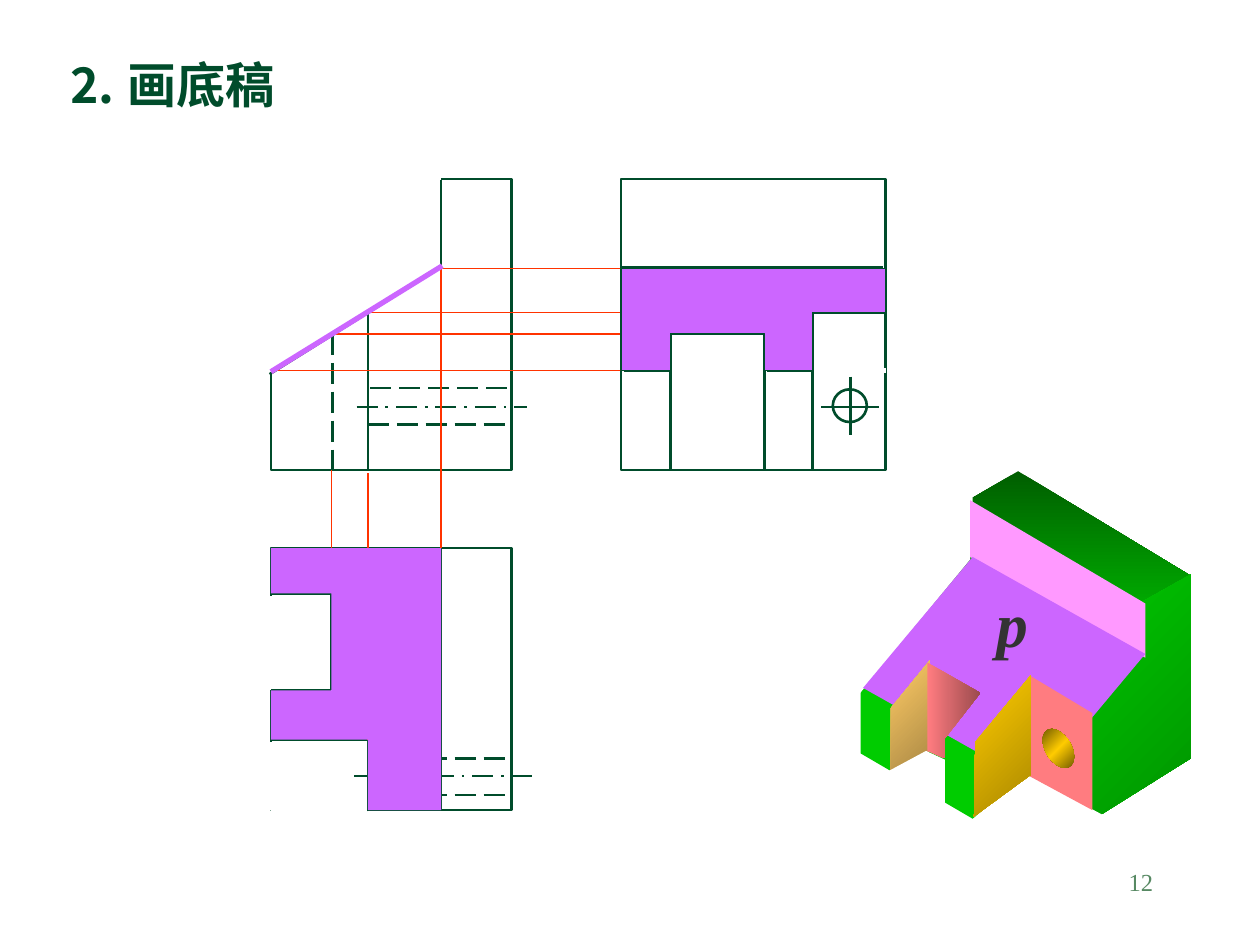
import copy
import math
from typing import NamedTuple, Optional

import pptx
import pptx.dml.color
import pptx.enum.dml
import pptx.enum.shapes
import pptx.enum.text
import pptx.oxml.ns
import pptx.oxml.xmlchemy
import pptx.util
from pptx.util import Inches

COLOURS = {
    "outline": "004C2B", "projection": "FF3300", "white": "FFFFFF", "plane": "CC66FF",
    "number": "578963", "letter": "333333", "green": "00CC00", "pink": "FF99FF",
    "salmon": "FF7C80", "top dark": "005E00", "side dark": "009000", "gold": "FFCC00",
    "gold dark": "AA8800", "hole dark": "765E00", "sand": "FFCC66",
    "sand dark": "AA8844", "salmon dark": "9B4B4E",
}
DASH = pptx.enum.dml.MSO_LINE_DASH_STYLE
SHAPE = pptx.enum.shapes.MSO_SHAPE
ALIGN = pptx.enum.text.PP_ALIGN


class Pen(NamedTuple):
    colour: str
    width: float
    dash: Optional[DASH] = None


class Strokes(NamedTuple):
    pen: Pen
    ends: list  # x1, y1, x2, y2 of each line


class Face(NamedTuple):
    points: list
    colours: list
    angle: int = 0
    pen: Optional[Pen] = None


class Label(NamedTuple):
    text: str
    box: tuple
    colour: str
    font: dict
    frame: dict


OUTLINE = Pen("outline", 1.5)
HIDDEN = Pen("outline", 1.5, DASH.LONG_DASH)
CENTRE = Pen("outline", 1.5, DASH.LONG_DASH_DOT)
PROJECTION = Pen("projection", 1)
ERASER = Pen("white", 3)

# Shared edges: front and plan across, side view across, heights, plan depths
LEFT, SLOT, STEP, RIDGE, RIGHT = 2.15, 2.63, 2.92, 3.5, 4.06
SIDE_LEFT, SIDE_SLOT_1, SIDE_SLOT_2, SIDE_STEP, SIDE_RIGHT = 4.93, 5.32, 6.07, 6.45, 7.03
TOP, SLOPE_TOP, STEP_TOP, SLOT_TOP, SLOPE_END, BASE = 1.42, 2.13, 2.48, 2.65, 2.94, 3.73
PLAN_TOP, PLAN_SLOT_1, PLAN_SLOT_2, PLAN_STEP, PLAN_BASE = 4.35, 4.71, 5.48, 5.87, 6.43

VIEW_FRAMES = [(SIDE_LEFT, TOP, 2.1, 2.31), (LEFT, TOP, 1.91, 2.31), (LEFT, PLAN_TOP, 1.91, 2.08)]

DETAIL_LINES = [
    Strokes(OUTLINE, [
        (6.75, 2.99, 6.75, 3.45), (6.52, 3.23, 6.98, 3.23),
        (STEP, PLAN_STEP, LEFT, PLAN_STEP), (SLOT, PLAN_SLOT_2, SLOT, PLAN_SLOT_1),
        (RIDGE, PLAN_BASE, RIDGE, PLAN_TOP), (SIDE_LEFT, 2.12, 7.01, 2.12),
        (SIDE_SLOT_1, SLOT_TOP, SIDE_SLOT_2, SLOT_TOP),
        (SIDE_STEP, STEP_TOP, SIDE_RIGHT, STEP_TOP), (STEP, STEP_TOP, STEP, BASE)]),
    Strokes(CENTRE, [(2.81, 6.16, 4.22, 6.16), (2.83, 3.23, 4.18, 3.23)]),
    Strokes(HIDDEN, [
        (STEP, 6.02, RIGHT, 6.02), (STEP, 6.31, RIGHT, 6.31), (2.64, SLOT_TOP, 2.64, BASE),
        (2.94, 3.08, RIGHT, 3.08), (STEP, 3.37, RIGHT, 3.37)]),
]
CONSTRUCTION_LINES = [
    Strokes(ERASER, [
        (LEFT, 1.32, LEFT, 2.96), (2.02, 1.41, RIDGE, 1.41), (LEFT, PLAN_SLOT_2, LEFT, 4.73),
        (LEFT, 5.89, LEFT, PLAN_BASE), (LEFT, PLAN_BASE, STEP, PLAN_BASE)]),
    Strokes(OUTLINE, [
        (RIDGE, 1.43, RIDGE, 2.12), (RIDGE, 2.12, 2.14, 2.97),
        (4.95, SLOPE_END, SIDE_RIGHT, SLOPE_END), (LEFT, PLAN_SLOT_2, SLOT, PLAN_SLOT_2),
        (SLOT, PLAN_SLOT_1, LEFT, PLAN_SLOT_1), (STEP, 6.44, STEP, 5.86)]),
    Strokes(PROJECTION, [
        (RIDGE, SLOPE_TOP, 4.99, SLOPE_TOP), (LEFT, SLOPE_END, SIDE_LEFT, SLOPE_END),
        (RIDGE, SLOPE_TOP, RIDGE, PLAN_TOP), (SLOT, PLAN_SLOT_1, SLOT, BASE),
        (SLOT, SLOT_TOP, SIDE_SLOT_1, SLOT_TOP), (STEP, PLAN_STEP, STEP, 3.75),
        (STEP, STEP_TOP, SIDE_STEP, STEP_TOP)]),
    Strokes(ERASER, [(SIDE_SLOT_1, SLOPE_END, 6.09, SLOPE_END),
                     (SIDE_STEP, SLOPE_END, SIDE_RIGHT, SLOPE_END)]),
    Strokes(OUTLINE, [(x, top, x, BASE) for x, top in (
        (SIDE_SLOT_1, SLOT_TOP), (SIDE_SLOT_2, SLOT_TOP), (SIDE_STEP, STEP_TOP))]),
]
SLOPE_LINE = Strokes(Pen("plane", 3), [(LEFT, 2.95, 3.51, 2.11)])

HOLE = [(8.4 + 0.125 * math.cos(angle), 5.94 + 0.155 * math.sin(angle + 0.44))
        for angle in (math.tau * step / 32 for step in range(32))]
SOLID_FACES = [
    Face([(8.08, 3.74), (6.83, 4.47), (8.22, 5.27), (9.45, 4.57)], ["top dark", "green"], 90),
    Face([(9.45, 4.56), (9.45, 6.02), (8.22, 6.79), (8.22, 5.25)], ["green", "side dark"], 45),
    Face([(6.83, 4.46), (6.83, 5.98), (8.22, 6.79), (8.22, 5.27)], ["green"]),
    Face([(7.72, 3.94), (7.7, 4.44), (6.81, 5.52), (6.64, 4.32), (6.69, 4.09)], ["white"]),
    Face([(7.7, 3.97), (7.7, 4.42), (9.09, 5.22), (9.09, 4.79)], ["pink"]),
    Face([(7.72, 4.42), (9.09, 5.19), (8.22, 6.23), (6.85, 5.46)], ["plane"]),
    Face([(8.14, 6.14), (8.85, 6.52), (8.1, 6.87), (7.65, 6.56)], ["white"]),
    Face([(8.17, 5.36), (8.67, 5.66), (8.67, 6.43), (8.17, 6.16)], ["salmon"]),
    Face([(7.74, 5.89), (7.73, 6.48), (8.18, 6.15), (8.18, 5.36)], ["gold", "gold dark"], 45),
    Face(HOLE, ["hole dark", "gold", "hole dark"], 45),
    Face([(7.07, 5.62), (7.38, 5.24), (7.38, 5.96), (7.07, 6.14)], ["sand", "sand dark"], 45),
    Face([(7.35, 5.96), (6.96, 6.17), (7.5, 6.43), (7.5, 6.03)], ["white"]),
    Face([(7.36, 5.26), (7.78, 5.5), (7.5, 5.86), (7.5, 6.02), (7.36, 5.96)],
         ["salmon", "salmon dark"]),
]
PLAN_PLANE = Face([
    (LEFT, PLAN_TOP), (RIDGE, PLAN_TOP), (RIDGE, PLAN_BASE), (STEP, PLAN_BASE),
    (STEP, PLAN_STEP), (LEFT, PLAN_STEP), (LEFT, PLAN_SLOT_2), (SLOT, PLAN_SLOT_2),
    (SLOT, PLAN_SLOT_1), (LEFT, PLAN_SLOT_1)], ["plane"])
SIDE_PLANE = Face([
    (SIDE_LEFT, SLOPE_TOP), (SIDE_RIGHT, SLOPE_TOP), (SIDE_RIGHT, STEP_TOP),
    (SIDE_STEP, STEP_TOP), (SIDE_STEP, SLOPE_END), (SIDE_SLOT_2, SLOPE_END),
    (SIDE_SLOT_2, SLOT_TOP), (SIDE_SLOT_1, SLOT_TOP), (SIDE_SLOT_1, SLOPE_END),
    (SIDE_LEFT, SLOPE_END)], ["plane"], pen=Pen("outline", 0.75))

TITLE = Label("⒉ 画底稿", (0.44, 0.29, 8.5, 0.63), "outline",
              {"name": "Noto Sans CJK SC", "size": pptx.util.Pt(28), "bold": True},
              {"vertical_anchor": pptx.enum.text.MSO_ANCHOR.BOTTOM, "margin_bottom": Inches(0.02)})
PAGE_NUMBER = Label("12", (7.17, 6.83, 2.08, 0.5), "number",
                    {"name": "Times New Roman", "size": pptx.util.Pt(14)}, {})
PLANE_LETTER = Label(
    "p", (7.81, 4.59, 0.45, 0.7), "letter",
    {"name": "Times New Roman", "size": pptx.util.Pt(36), "bold": True, "italic": True}, {})


def rgb(name: str) -> pptx.dml.color.RGBColor:
    return pptx.dml.color.RGBColor.from_string(COLOURS[name])


def apply_pen(line_format, pen: Pen) -> None:
    line_format.color.rgb = rgb(pen.colour)
    line_format.width = pptx.util.Pt(pen.width)
    if pen.dash:
        line_format.dash_style = pen.dash


def draw_strokes(slide, strokes: Strokes) -> None:
    for ends in strokes.ends:
        connector = slide.shapes.add_connector(
            pptx.enum.shapes.MSO_CONNECTOR.STRAIGHT, *map(Inches, ends))
        apply_pen(connector.line, strokes.pen)
        connector._element.spPr.append(pptx.oxml.xmlchemy.OxmlElement("a:effectLst"))


def draw_outline(slide, kind: SHAPE, box: tuple) -> None:
    shape = slide.shapes.add_shape(kind, *map(Inches, box))
    shape.shadow.inherit = False
    shape.fill.background()
    apply_pen(shape.line, OUTLINE)


def fill_gradient(shape, colours: list, angle: int) -> None:
    shape.fill.gradient()
    shape.fill.gradient_angle = -angle % 360
    stop_list = shape._element.spPr.find(".//" + pptx.oxml.ns.qn("a:gsLst"))
    for _ in colours[2:]:
        stop_list.append(copy.deepcopy(stop_list[-1]))
    for index, (stop, colour) in enumerate(zip(shape.fill.gradient_stops, colours)):
        stop.color.rgb = rgb(colour)
        stop_list[index].set("pos", str(100000 * index // (len(colours) - 1)))


def draw_face(slide, face: Face) -> None:
    points = [(Inches(x), Inches(y)) for x, y in face.points]
    builder = slide.shapes.build_freeform(*points[0])
    builder.add_line_segments(points[1:], close=True)
    shape = builder.convert_to_shape()
    shape.shadow.inherit = False
    if len(face.colours) > 1:
        fill_gradient(shape, face.colours, face.angle)
    else:
        shape.fill.solid()
        shape.fill.fore_color.rgb = rgb(face.colours[0])
    if face.pen:
        apply_pen(shape.line, face.pen)
    else:
        shape.line.fill.background()


def draw_label(slide, label: Label, align: ALIGN = ALIGN.LEFT) -> None:
    frame = slide.shapes.add_textbox(*map(Inches, label.box)).text_frame
    paragraph = frame.paragraphs[0]
    paragraph.alignment = align
    run = paragraph.add_run()
    run.text = label.text
    for target, values in ((frame, {"word_wrap": True, **label.frame}), (run.font, label.font)):
        for name, value in values.items():
            setattr(target, name, value)
    run.font.color.rgb = rgb(label.colour)
    east_asian = pptx.oxml.xmlchemy.OxmlElement("a:ea")
    east_asian.set("typeface", label.font["name"])
    run.font._element.append(east_asian)


def main() -> None:
    presentation = pptx.Presentation()
    presentation.slide_width, presentation.slide_height = Inches(10), Inches(7.5)
    slide = presentation.slides.add_slide(presentation.slide_layouts[6])
    draw_label(slide, PAGE_NUMBER, ALIGN.RIGHT)
    draw_label(slide, TITLE)
    # View frames, hole and inner edges
    for box in VIEW_FRAMES:
        draw_outline(slide, SHAPE.RECTANGLE, box)
    draw_outline(slide, SHAPE.OVAL, (6.61, 3.09, 0.27, 0.26))
    for strokes in DETAIL_LINES:
        draw_strokes(slide, strokes)
    # Solid body with its sloping plane
    for face in SOLID_FACES:
        draw_face(slide, face)
    draw_label(slide, PLANE_LETTER)
    # Projection lines and trimmed edges
    for strokes in CONSTRUCTION_LINES:
        draw_strokes(slide, strokes)
    # The sloping plane in each view
    draw_face(slide, PLAN_PLANE)
    draw_strokes(slide, SLOPE_LINE)
    draw_face(slide, SIDE_PLANE)
    presentation.save("out.pptx")


if __name__ == "__main__":
    main()
